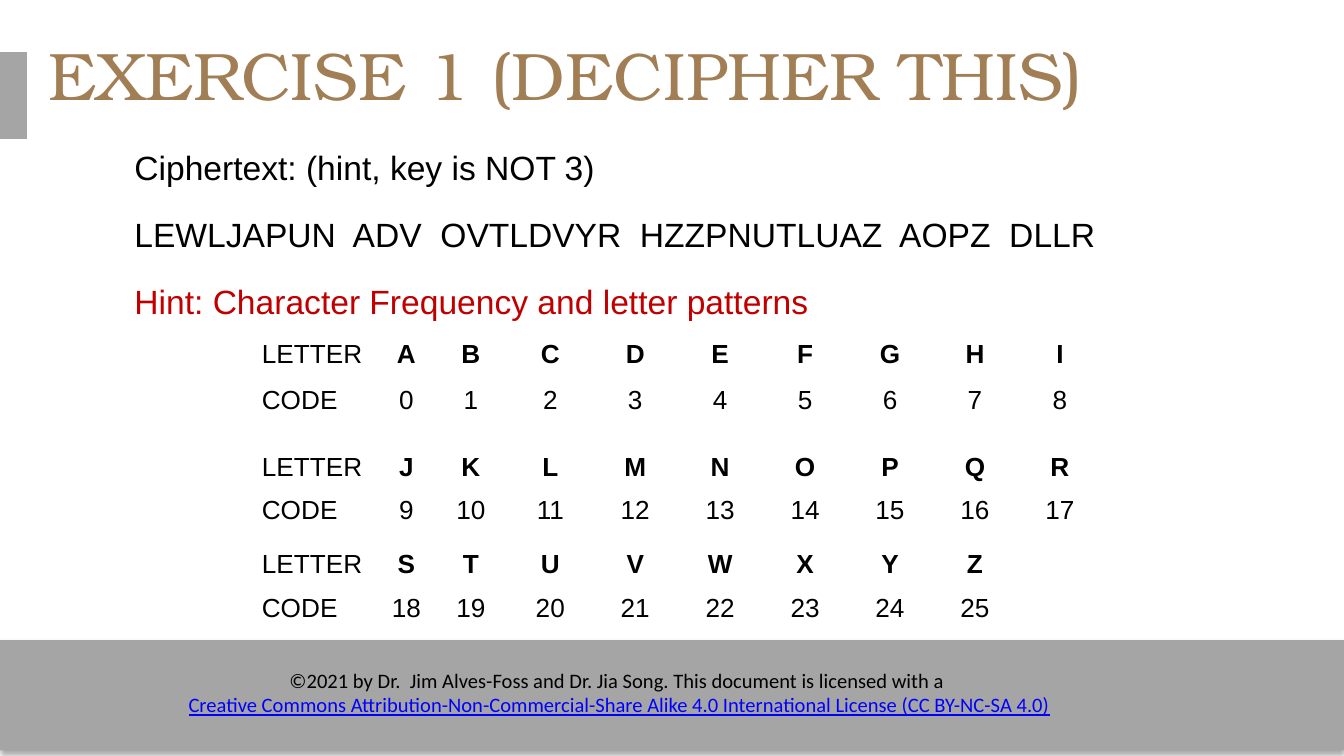
from lxml.etree import SubElement
from pptx import Presentation
from pptx.dml.color import RGBColor
from pptx.enum.shapes import MSO_SHAPE
from pptx.enum.text import MSO_ANCHOR, PP_ALIGN
from pptx.oxml.ns import qn
from pptx.util import Pt

GREY = "A5A5A5"
BLACK = "000000"
NO_STYLE = "{2D5ABB26-0587-4C30-8999-92F81FD0307C}"
COLUMN_WIDTHS = [67, 29.5, 39.6] + [45.5] * 7
ROW_HEIGHTS = [24.5, 36, 23, 28.8, 23.8, 31]
ALPHABET = "ABCDEFGHIJKLMNOPQRSTUVWXYZ"
LETTERS_PER_ROW = 9


def color(value):
    return RGBColor.from_string(value)


def style(paragraph, size, face, tint, bold=False, align=PP_ALIGN.LEFT):
    paragraph.alignment = align
    font = paragraph.font
    font.size = Pt(size)
    font.name = face
    font.bold = bold
    font.color.rgb = color(tint)


def set_margins(holder, across, down):
    holder.margin_left = holder.margin_right = Pt(across)
    holder.margin_top = holder.margin_bottom = Pt(down)


def add_bar(slide, left, top, width, height):
    bar = slide.shapes.add_shape(
        MSO_SHAPE.RECTANGLE, Pt(left), Pt(top), Pt(width), Pt(height))
    bar.shadow.inherit = False
    bar.fill.solid()
    bar.fill.fore_color.rgb = color(GREY)
    bar.line.fill.background()
    return bar


def add_drop_shadow(bar):
    effects = bar._element.spPr.find(qn("a:effectLst"))
    shadow = SubElement(effects, qn("a:outerShdw"), blurRad=str(Pt(3.1)),
                        dist=str(Pt(1.8)), dir="5400000", rotWithShape="0")
    tint = SubElement(shadow, qn("a:srgbClr"), val=BLACK)
    SubElement(tint, qn("a:alpha"), val="35000")


def add_text(slide, box, lines, size, face, margins=(0, 0),
             align=PP_ALIGN.LEFT, anchor=MSO_ANCHOR.TOP):
    frame = slide.shapes.add_textbox(*map(Pt, box)).text_frame
    frame.word_wrap = True
    frame.vertical_anchor = anchor
    set_margins(frame, *margins)
    for index, (text, tint) in enumerate(lines):
        paragraph = frame.paragraphs[0] if index == 0 else frame.add_paragraph()
        paragraph.text = text
        style(paragraph, size, face, tint, align=align)
    return frame.paragraphs


def code_rows():
    for start in range(0, len(ALPHABET), LETTERS_PER_ROW):
        letters = ALPHABET[start:start + LETTERS_PER_ROW]
        yield ["LETTER", *letters]
        yield ["CODE", *(str(start + offset) for offset in range(len(letters)))]


def add_code_table(slide, left, top):
    table = slide.shapes.add_table(
        len(ROW_HEIGHTS), len(COLUMN_WIDTHS), Pt(left), Pt(top),
        Pt(sum(COLUMN_WIDTHS)), Pt(sum(ROW_HEIGHTS))).table
    table.first_row = table.horz_banding = False
    table._tbl.tblPr.find(qn("a:tableStyleId")).text = NO_STYLE
    for column, width in zip(table.columns, COLUMN_WIDTHS):
        column.width = Pt(width)
    for row, height, values in zip(table.rows, ROW_HEIGHTS, code_rows()):
        row.height = Pt(height)
        for index, cell in enumerate(row.cells):
            cell.fill.background()
            set_margins(cell, 4.3, 2.2)
            if index < len(values):
                cell.text = values[index]
            style(cell.text_frame.paragraphs[0], 14, "Arial", BLACK,
                  bold=index > 0 and values[0] == "LETTER",
                  align=PP_ALIGN.CENTER if index else PP_ALIGN.LEFT)


def main():
    presentation = Presentation()
    presentation.slide_width = Pt(720)
    presentation.slide_height = Pt(405)
    slide = presentation.slides.add_slide(presentation.slide_layouts[6])

    add_drop_shadow(add_bar(slide, 0, 343, 720, 59))
    _, license_name = add_text(slide, (72.7, 354.2, 518.4, 33.8), [
        ("©2021 by Dr.  Jim Alves-Foss and Dr. Jia Song. "
         "This document is licensed with a ", BLACK),
        ("Creative Commons Attribution-Non-Commercial-Share Alike 4.0 "
         "International License (CC BY-NC-SA 4.0)", "0000FF"),
    ], 11, "Calibri", margins=(7.2, 3.6), align=PP_ALIGN.CENTER)
    license_name.font.underline = True

    add_bar(slide, -2, 28, 16.5, 46.5)
    add_text(slide, (26, 16.5, 648, 45.4),
             [("EXERCISE 1 (DECIPHER THIS)", "A27E55")],
             36, "TeX Gyre Bonum", anchor=MSO_ANCHOR.MIDDLE)

    exercise = add_text(slide, (72, 74.2, 602, 260), [
        ("Ciphertext: (hint, key is NOT 3)", BLACK),
        ("LEWLJAPUN  ADV  OVTLDVYR  HZZPNUTLUAZ  AOPZ  DLLR", BLACK),
        ("Hint: Character Frequency and letter patterns", "C00000"),
    ], 18, "Arial")
    for index, paragraph in enumerate(exercise):
        paragraph.line_spacing = 1.2
        if index:
            paragraph.space_before = Pt(10)

    add_code_table(slide, 136, 180)
    presentation.save("out.pptx")


if __name__ == "__main__":
    main()
